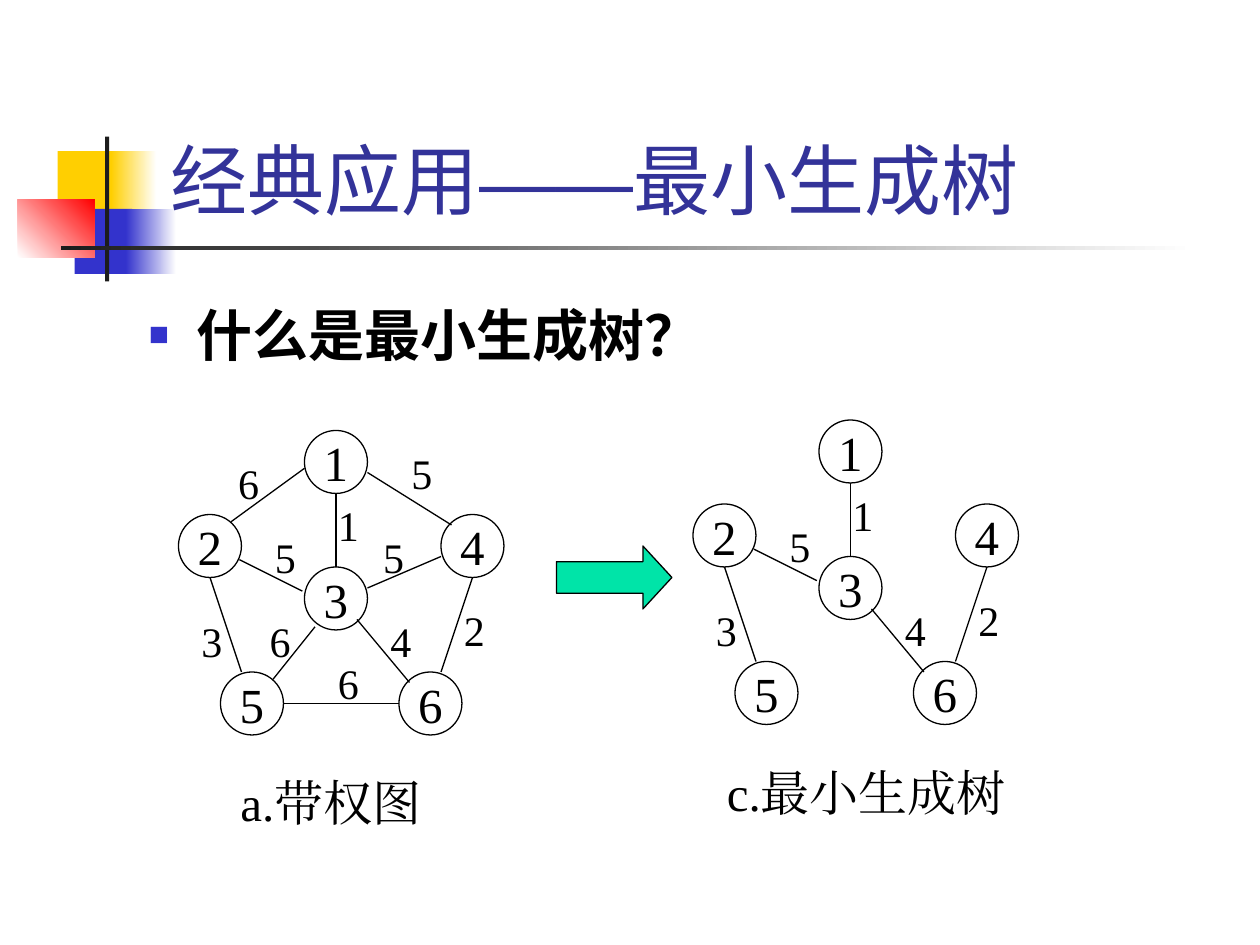
"""Build the slide that compares a weighted graph with its minimum spanning tree."""
from dataclasses import dataclass
from typing import Any, Optional

import lxml.etree
import pptx
import pptx.dml.color
import pptx.enum.shapes
import pptx.enum.text
import pptx.oxml.ns
import pptx.util

RGBColor = pptx.dml.color.RGBColor
Shape = pptx.enum.shapes.MSO_SHAPE
Anchor = pptx.enum.text.MSO_ANCHOR
Align = pptx.enum.text.PP_ALIGN
AutoSize = pptx.enum.text.MSO_AUTO_SIZE
qn = pptx.oxml.ns.qn

PX = 914400 // 120
NODE_SIZE = 60
LABEL_SIZE = (40, 60)

BLACK = RGBColor(0x00, 0x00, 0x00)
WHITE = RGBColor(0xFF, 0xFF, 0xFF)
CHARCOAL = RGBColor(0x1C, 0x1C, 0x1C)
YELLOW = RGBColor(0xFF, 0xCF, 0x01)
BLUE = RGBColor(0x33, 0x33, 0xCC)
RED = RGBColor(0xFF, 0x00, 0x00)
TITLE_BLUE = RGBColor(0x33, 0x33, 0x99)
GREEN = RGBColor(0x00, 0xE4, 0xA8)

SERIF = "Times New Roman"


@dataclass(frozen=True)
class Block:
    box: tuple[int, int, int, int]
    color: RGBColor
    fade_to: Optional[RGBColor] = None
    angle: int = 0


@dataclass(frozen=True)
class Node:
    name: str
    left: int
    top: int


@dataclass(frozen=True)
class Edge:
    start: tuple[int, int]
    end: tuple[int, int]
    weight: str
    label: tuple[int, int]
    in_tree: bool = False


BLOCKS = [
    Block((55, 144, 58, 62), YELLOW),
    Block((106, 144, 43, 62), YELLOW, WHITE),
    Block((71, 199, 55, 62), BLUE),
    Block((120, 199, 48, 62), BLUE, WHITE),
    Block((17, 190, 73, 55), WHITE, RED, 45),
    Block((100, 130, 4, 138), CHARCOAL),
    Block((58, 234, 1080, 4), CHARCOAL, WHITE),
]

NODES = [
    Node("1", 290, 410),
    Node("2", 170, 490),
    Node("3", 290, 540),
    Node("4", 420, 490),
    Node("5", 210, 640),
    Node("6", 380, 640),
]

EDGES = [
    Edge((220, 497), (290, 446), "6", (215, 430)),
    Edge((350, 450), (430, 500), "5", (380, 420)),
    Edge((320, 540), (320, 470), "1", (310, 470), True),
    Edge((228, 533), (288, 563), "5", (250, 500), True),
    Edge((350, 560), (420, 530), "5", (353, 500)),
    Edge((230, 640), (200, 550), "3", (180, 580), True),
    Edge((260, 647), (300, 597), "6", (245, 580)),
    Edge((340, 590), (390, 650), "4", (360, 580), True),
    Edge((420, 640), (450, 550), "2", (430, 570), True),
    Edge((270, 670), (380, 670), "6", (310, 620)),
]


def emu(*lengths: int) -> list[int]:
    """Turn px lengths into EMU."""
    return [length * PX for length in lengths]


def write(frame: Any, *runs: tuple[str, str], size: int, color: RGBColor = BLACK,
          bold: bool = False, align: Any = Align.LEFT, anchor: Any = Anchor.TOP,
          wrap: bool = True, space_before: float = 0) -> Any:
    """Write (text, font) runs as one paragraph and return it."""
    frame.word_wrap = wrap
    frame.vertical_anchor = anchor
    paragraph = frame.paragraphs[0]
    paragraph.alignment = align
    paragraph.space_before = pptx.util.Pt(space_before)
    for text, font_name in runs:
        run = paragraph.add_run()
        run.text = text
        run.font.name = font_name
        run.font.size = pptx.util.Pt(size)
        run.font.bold = bold
        run.font.color.rgb = color
        east_asian = lxml.etree.SubElement(run.font._element, qn("a:ea"))
        east_asian.set("typeface", font_name)
    return paragraph


def add_label(shapes: Any, box: tuple[int, int, int, int], text: str, size: int,
              space_before: float) -> None:
    """Add a centred text box that grows with its text."""
    frame = shapes.add_textbox(*emu(*box)).text_frame
    frame.auto_size = AutoSize.SHAPE_TO_FIT_TEXT
    write(frame, (text, SERIF), size=size, align=Align.CENTER, space_before=space_before)


def outline(line: Any) -> None:
    """Give a line the thin black stroke."""
    line.color.rgb = BLACK
    line.width = pptx.util.Pt(0.75)


def add_block(shapes: Any, block: Block) -> None:
    """Add one decorative rectangle."""
    shape = shapes.add_shape(Shape.RECTANGLE, *emu(*block.box))
    shape.shadow.inherit = False
    shape.line.fill.background()
    if block.fade_to is None:
        shape.fill.solid()
        shape.fill.fore_color.rgb = block.color
        return
    shape.fill.gradient()
    shape.fill.gradient_angle = block.angle
    for stop, color in zip(shape.fill.gradient_stops, (block.color, block.fade_to)):
        stop.color.rgb = color


def add_node(shapes: Any, node: Node, dx: int, dy: int) -> None:
    """Add one numbered circle."""
    shape = shapes.add_shape(
        Shape.OVAL, *emu(node.left + dx, node.top + dy, NODE_SIZE, NODE_SIZE))
    shape.shadow.inherit = False
    shape.fill.background()
    outline(shape.line)
    write(shape.text_frame, (node.name, SERIF), size=28, align=Align.CENTER,
          anchor=Anchor.MIDDLE, wrap=False)


def add_edge(shapes: Any, edge: Edge, dx: int, dy: int) -> None:
    """Add one edge with its weight."""
    (x1, y1), (x2, y2), (left, top) = edge.start, edge.end, edge.label
    connector = shapes.add_connector(
        pptx.enum.shapes.MSO_CONNECTOR.STRAIGHT,
        *emu(x1 + dx, y1 + dy, x2 + dx, y2 + dy))
    outline(connector.line)
    lxml.etree.SubElement(connector._element.spPr, qn("a:effectLst"))
    add_label(shapes, (left + dx, top + dy, *LABEL_SIZE), edge.weight, 24, 15)


def add_graph(slide: Any, edges: list[Edge], dx: int = 0, dy: int = 0) -> None:
    """Add all nodes and the given edges as one group."""
    shapes = slide.shapes.add_group_shape().shapes
    for edge in edges:
        add_edge(shapes, edge, dx, dy)
    for node in NODES:
        add_node(shapes, node, dx, dy)


def add_bullet(paragraph: Any) -> None:
    """Give a paragraph a blue square bullet and a hanging indent."""
    properties = paragraph._p.get_or_add_pPr()
    indent = pptx.util.Inches(0.38)
    properties.set("marL", str(indent))
    properties.set("indent", str(-indent))
    color = lxml.etree.SubElement(properties, qn("a:buClr"))
    lxml.etree.SubElement(color, qn("a:srgbClr")).set("val", str(BLUE))
    for tag, name, value in (("a:buSzPct", "val", "60000"),
                             ("a:buFont", "typeface", "Arial"),
                             ("a:buChar", "char", "■")):
        lxml.etree.SubElement(properties, qn(tag)).set(name, value)


def add_arrow(shapes: Any) -> None:
    """Add the green arrow between the graphs."""
    arrow = shapes.add_shape(Shape.RIGHT_ARROW, *emu(530, 520, 110, 60))
    arrow.shadow.inherit = False
    arrow.adjustments[1] = 0.46
    arrow.fill.solid()
    arrow.fill.fore_color.rgb = GREEN
    outline(arrow.line)


def main() -> None:
    """Build and save the presentation."""
    presentation = pptx.Presentation()
    presentation.slide_width, presentation.slide_height = emu(1200, 900)
    slide = presentation.slides.add_slide(presentation.slide_layouts[6])
    shapes = slide.shapes
    for block in BLOCKS:
        add_block(shapes, block)
    title = shapes.add_textbox(*emu(151, 28, 1022, 192))
    write(title.text_frame, ("经典应用", "Roboto"), ("——", "Arial"),
          ("最小生成树", "Roboto"), size=44, color=TITLE_BLUE, anchor=Anchor.BOTTOM)
    body = shapes.add_textbox(*emu(130, 280, 780, 100))
    add_bullet(write(body.text_frame, ("什么是最小生成树？", "Noto Sans CJK SC"),
                     size=32, bold=True, space_before=8))
    add_graph(slide, EDGES)
    add_arrow(shapes)
    add_label(shapes, (200, 730, 230, 68), "a.带权图", 28, 17.5)
    add_label(shapes, (670, 720, 310, 68), "c.最小生成树", 28, 17.5)
    add_graph(slide, [edge for edge in EDGES if edge.in_tree], 490, -10)
    presentation.save("out.pptx")


if __name__ == "__main__":
    main()
